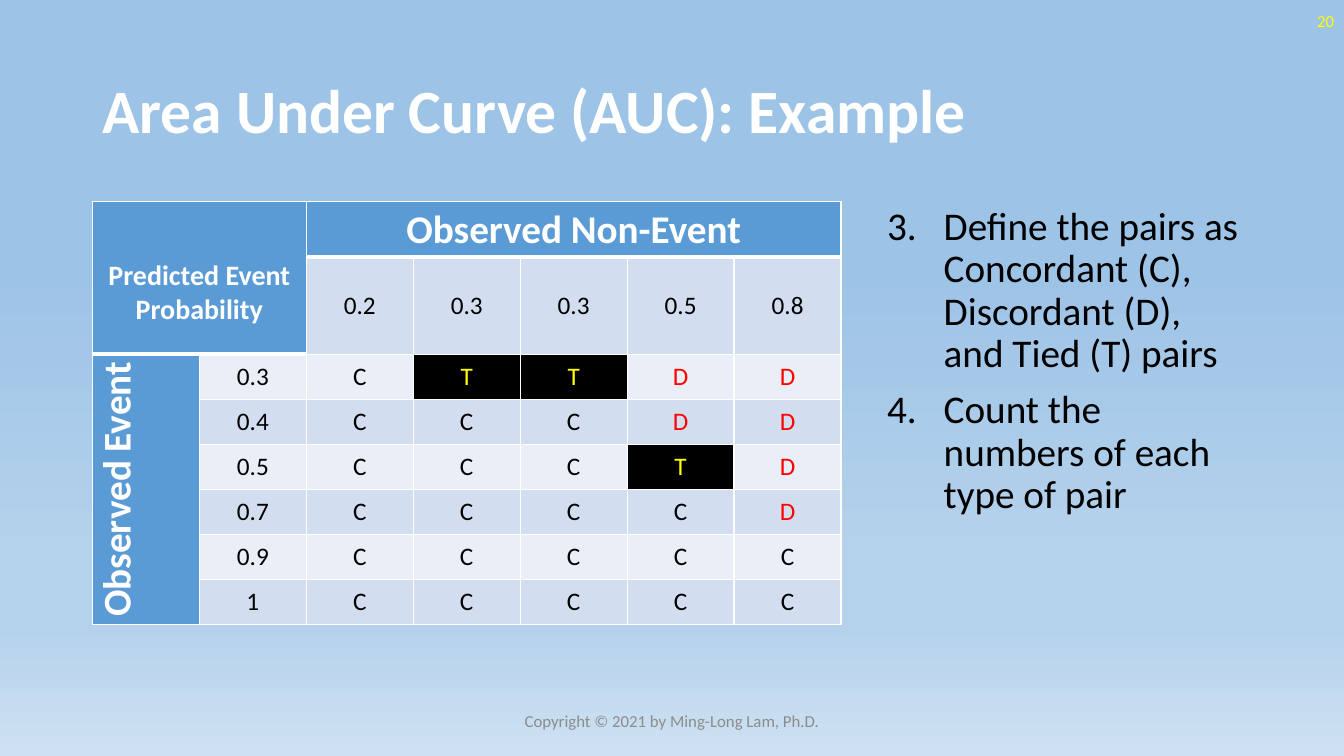
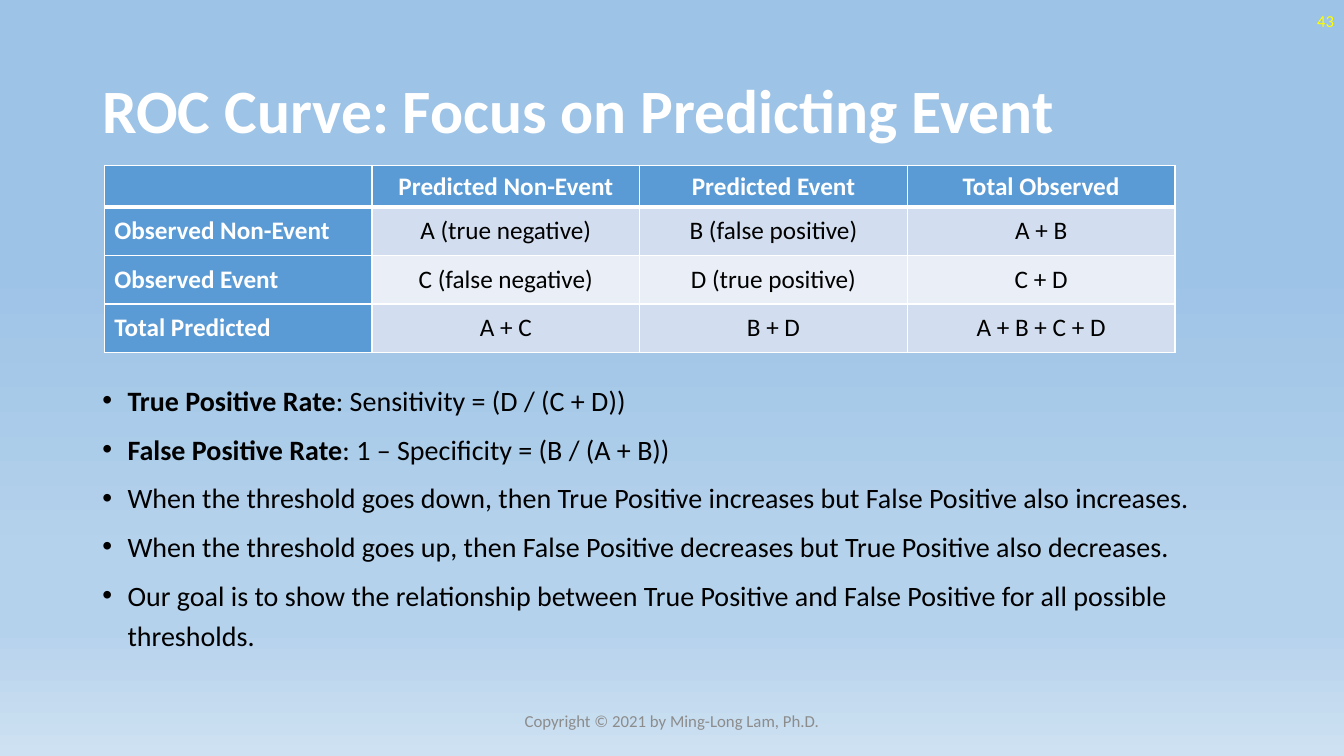
from lxml.etree import SubElement
from pptx import Presentation
from pptx.dml.color import RGBColor
from pptx.enum.text import MSO_ANCHOR as Anchor, PP_ALIGN as Align
from pptx.oxml.ns import qn
from pptx.util import Pt

FONT = "Calibri"
WHITE = RGBColor(0xFF, 0xFF, 0xFF)
BLACK = RGBColor(0x00, 0x00, 0x00)
YELLOW = RGBColor(0xFF, 0xFF, 0x00)
RED = RGBColor(0xFF, 0x00, 0x00)
GRAY = RGBColor(0x8C, 0x8C, 0x8C)
HEADER_BLUE = RGBColor(0x5B, 0x9B, 0xD5)
BANDS = (RGBColor(0xD2, 0xDE, 0xEF), RGBColor(0xEA, 0xEF, 0xF7))
SKY_STOPS = (
    (35, RGBColor(0x9D, 0xC3, 0xE6)),
    (74, RGBColor(0xB5, 0xD2, 0xEC)),
    (83, RGBColor(0xB5, 0xD2, 0xEC)),
    (100, RGBColor(0xCE, 0xE1, 0xF2)),
)
FOOTER = "Copyright © 2021 by Ming-Long Lam, Ph.D."
THIN, THICK = 1, 3

NON_EVENTS = (0.2, 0.3, 0.3, 0.5, 0.8)
EVENTS = (0.3, 0.4, 0.5, 0.7, 0.9, 1)

PAIR_STEPS = (
    "Define the pairs as Concordant (C), Discordant (D), and Tied (T) pairs",
    "Count the numbers of each type of pair",
)
CONFUSION = (
    ("", "Predicted Non-Event", "Predicted Event", "Total Observed"),
    ("Observed Non-Event", "A (true negative)", "B (false positive)", "A + B"),
    ("Observed Event", "C (false negative)", "D (true positive)", "C + D"),
    ("Total Predicted", "A + C", "B + D", "A + B + C + D"),
)
RATE_POINTS = (
    ("True Positive Rate", ": Sensitivity = (D / (C + D))"),
    ("False Positive Rate", ": 1 – Specificity = (B / (A + B))"),
    ("", "When the threshold goes down, then True Positive increases but False Positive also increases."),
    ("", "When the threshold goes up, then False Positive decreases but True Positive also decreases."),
    ("", "Our goal is to show the relationship between True Positive and False Positive for all possible thresholds."),
)


def paint_background(master):
    fill = master.background.fill
    fill.gradient()
    fill.gradient_angle = 270
    stops = master.element.find(".//" + qn("a:gsLst"))
    for stop in list(stops):
        stops.remove(stop)
    for percent, color in SKY_STOPS:
        stop = SubElement(stops, qn("a:gs"), pos=str(percent * 1000))
        SubElement(stop, qn("a:srgbClr"), val=str(color))


def add_span(para, text, size, color, bold=False):
    span = para.add_run()
    span.text = text
    font = span.font
    font.name, font.size, font.bold = FONT, Pt(size), bold
    font.color.rgb = color


def add_frame(page, left, top, width, height, anchor=Anchor.TOP):
    box = page.shapes.add_textbox(Pt(left), Pt(top), Pt(width), Pt(height))
    frame = box.text_frame
    frame.word_wrap = True
    frame.vertical_anchor = anchor
    return frame


def add_label(page, area, text, size, color, align=Align.LEFT, bold=False):
    para = add_frame(page, *area, Anchor.MIDDLE).paragraphs[0]
    para.alignment = align
    para.line_spacing = 0.9 if bold else 1.0
    add_span(para, text, size, color, bold)


def add_list(page, area, items, size, indent, line_spacing, space_before, marker, **marker_options):
    frame = add_frame(page, *area)
    for index, (lead, rest) in enumerate(items):
        para = frame.add_paragraph() if index else frame.paragraphs[0]
        para.line_spacing = line_spacing
        para.space_before = Pt(space_before)
        properties = para._p.get_or_add_pPr()
        properties.set("marL", str(Pt(indent)))
        properties.set("indent", str(-Pt(indent)))
        if marker == "a:buChar":
            SubElement(properties, qn("a:buFont"), typeface="Arial")
        SubElement(properties, qn(marker), **marker_options)
        if lead:
            add_span(para, lead, size, BLACK, True)
        add_span(para, rest, size, BLACK)


def start_page(deck, title, number):
    page = deck.slides.add_slide(deck.slide_layouts[6])
    add_label(page, (66, 29, 828, 104), title, 44, WHITE, bold=True)
    add_label(page, (744, 0, 216, 29), number, 12, YELLOW, Align.RIGHT)
    add_label(page, (318, 500.5, 324, 29), FOOTER, 12, GRAY, Align.CENTER)
    return page


def add_grid(page, left, top, column_width, column_count, row_heights, thick_tops):
    table = page.shapes.add_table(
        len(row_heights), column_count, Pt(left), Pt(top),
        Pt(column_width * column_count), Pt(sum(row_heights)),
    ).table
    table.first_row = table.horz_banding = False
    for column in table.columns:
        column.width = Pt(column_width)
    for row, height in zip(table.rows, row_heights):
        row.height = Pt(height)
    for row in range(len(row_heights)):
        for column in range(column_count):
            over = THICK if (row, column) in thick_tops else THIN
            under = THICK if (row + 1, column) in thick_tops else THIN
            add_borders(table.cell(row, column), over, under)
    return table


def add_borders(cell, over, under):
    properties = cell._tc.get_or_add_tcPr()
    for side, width in (("L", THIN), ("R", THIN), ("T", over), ("B", under)):
        line = SubElement(properties, qn("a:ln" + side), w=str(Pt(width)))
        SubElement(SubElement(line, qn("a:solidFill")), qn("a:srgbClr"), val=str(WHITE))


def fill_cell(cell, text, fill, size=18, color=BLACK, bold=False, align=Align.CENTER):
    cell.fill.solid()
    cell.fill.fore_color.rgb = fill
    cell.vertical_anchor = Anchor.MIDDLE
    para = cell.text_frame.paragraphs[0]
    para.alignment = align
    if text:
        add_span(para, text, size, color, bold)


def set_margins(cell, bottom=0):
    cell.margin_left = cell.margin_right = cell.margin_top = Pt(0.7)
    cell.margin_bottom = Pt(bottom)


def classify_pair(event, non_event):
    if event > non_event:
        return "C"
    return "T" if event == non_event else "D"


def add_pair_table(page):
    first_row, first_column = 2, 2
    heights = [39.5, 69.5] + [32.2] * len(EVENTS)
    last_row, last_column = len(heights) - 1, first_column + len(NON_EVENTS) - 1
    thick_tops = {(1, column) for column in range(first_column, last_column + 1)}
    thick_tops |= {(first_row, column) for column in range(first_column)}
    table = add_grid(page, 66, 144, 76.4, last_column + 1, heights, thick_tops)

    corner, across, down = table.cell(0, 0), table.cell(0, first_column), table.cell(first_row, 0)
    corner.merge(table.cell(1, 1))
    across.merge(table.cell(0, last_column))
    down.merge(table.cell(last_row, 0))
    headers = (
        (corner, "Predicted Event Probability", 20),
        (across, "Observed Non-Event", 28),
        (down, "Observed Event", 28),
    )
    for cell, text, size in headers:
        fill_cell(cell, text, HEADER_BLUE, size, WHITE, True)
        set_margins(cell)
    set_margins(corner, 19.5)
    corner.vertical_anchor = Anchor.BOTTOM
    down._tc.get_or_add_tcPr().set("vert", "vert270")

    def fill_value(row, column, text, fill, color=BLACK):
        cell = table.cell(row, column)
        fill_cell(cell, text, fill, color=color)
        set_margins(cell)

    for column, non_event in enumerate(NON_EVENTS, first_column):
        fill_value(1, column, str(non_event), BANDS[0])
    for row, event in enumerate(EVENTS, first_row):
        band = BANDS[(row + 1) % 2]
        fill_value(row, 1, str(event), band)
        styles = {"C": (band, BLACK), "T": (BLACK, YELLOW), "D": (band, RED)}
        for column, non_event in enumerate(NON_EVENTS, first_column):
            kind = classify_pair(event, non_event)
            fill_value(row, column, kind, *styles[kind])


def add_confusion_table(page):
    column_count = len(CONFUSION[0])
    thick_tops = {(1, column) for column in range(column_count)}
    table = add_grid(page, 74.5, 118.5, 191.2, column_count, [29.3] + [34.7] * 3, thick_tops)
    for row, texts in enumerate(CONFUSION):
        for column, text in enumerate(texts):
            cell = table.cell(row, column)
            if row == 0 or column == 0:
                align = Align.CENTER if column else Align.LEFT
                fill_cell(cell, text, HEADER_BLUE, color=WHITE, bold=True, align=align)
            else:
                fill_cell(cell, text, BANDS[(row + 1) % 2])


def add_auc_page(deck):
    page = start_page(deck, "Area Under Curve (AUC): Example", "20")
    add_pair_table(page)
    steps = [("", step) for step in PAIR_STEPS]
    add_list(page, (626.5, 144, 267, 343), steps, 28, 40.5, 0.9, 10,
             "a:buAutoNum", type="arabicPeriod", startAt="3")


def add_roc_page(deck):
    page = start_page(deck, "ROC Curve: Focus on Predicting Event", "43")
    add_confusion_table(page)
    add_list(page, (66, 265.5, 796, 221), RATE_POINTS, 20, 18, 1.2, 6,
             "a:buChar", char="•")


def main():
    deck = Presentation()
    deck.slide_width, deck.slide_height = Pt(960), Pt(540)
    paint_background(deck.slide_master)
    add_auc_page(deck)
    add_roc_page(deck)
    deck.save("out.pptx")


if __name__ == "__main__":
    main()
